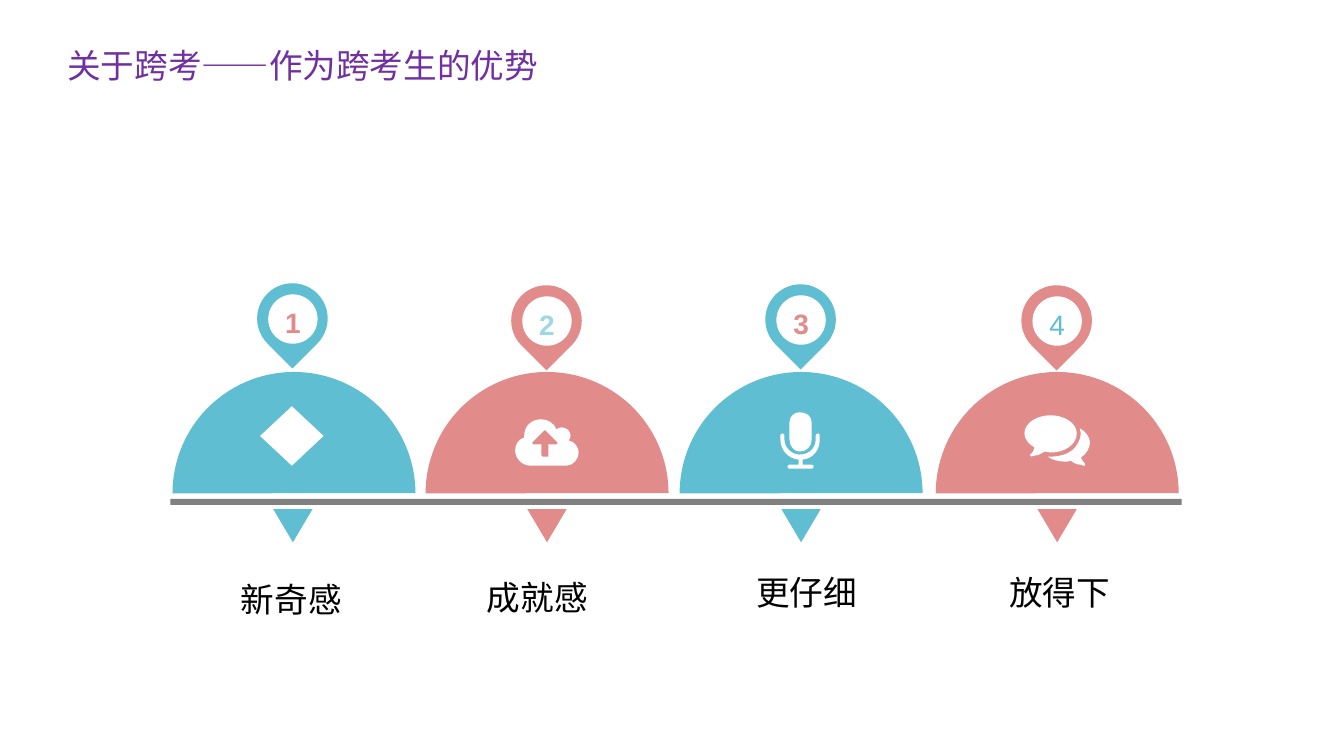
from dataclasses import dataclass

from lxml import etree
from pptx import Presentation
from pptx.dml.color import RGBColor
from pptx.enum.shapes import MSO_SHAPE
from pptx.enum.text import MSO_ANCHOR, PP_ALIGN
from pptx.oxml.ns import qn
from pptx.util import Emu, Pt

PX = 9144  # one px is a hundredth of an inch
CENTER, MIDDLE = PP_ALIGN.CENTER, MSO_ANCHOR.MIDDLE
CHORD, TEARDROP, ELLIPSE = MSO_SHAPE.CHORD, MSO_SHAPE.TEAR, MSO_SHAPE.OVAL
TRIANGLE, RECTANGLE, DIAMOND = (
    MSO_SHAPE.ISOSCELES_TRIANGLE, MSO_SHAPE.RECTANGLE, MSO_SHAPE.DIAMOND)

BLUE, ROSE, PALE_BLUE = "5FBED1", "E18B8B", "9FD8E3"
WHITE, BLACK, GRAY, PURPLE = "FFFFFF", "000000", "808080", "7030A0"
LATIN_FONT, CHINESE_FONT = "Arial", "Noto Sans CJK SC"

# Each contour is a start point, then lines (x, y) and cubic curves (6 numbers).
CLOUD_UPLOAD = [
    [(562, 462), (526, 462), (518, 462, 511, 455, 511, 447),
     (511, 441, 514, 436, 520, 434), (520, 432),
     (520, 423, 527, 416, 537, 416), (543, 416, 550, 420, 552, 426),
     (553, 425, 556, 424, 557, 424), (562, 424, 566, 428, 566, 432),
     (566, 434, 565, 436, 564, 437), (570, 438, 574, 444, 574, 449),
     (574, 456, 568, 462, 562, 462)],
    [(553, 439), (541, 427), (540, 427), (528, 439),
     (528, 440, 528, 441, 529, 441), (537, 441), (537, 452),
     (537, 453, 537, 453, 538, 453), (544, 453), (544, 452), (544, 441),
     (552, 441), (553, 441, 553, 440, 553, 439)],
]
MICROPHONE = [
    [(813, 436), (813, 447, 806, 455, 796, 456), (796, 461), (805, 461),
     (806, 461, 807, 462, 807, 463), (807, 464, 806, 465, 805, 465),
     (783, 465), (782, 465, 781, 464, 781, 463),
     (781, 462, 782, 461, 783, 461), (792, 461), (792, 456),
     (782, 455, 774, 447, 774, 436), (774, 432),
     (774, 431, 775, 430, 776, 430), (777, 430, 778, 431, 778, 432),
     (778, 436), (778, 445, 786, 451, 793, 451),
     (802, 451, 809, 445, 809, 436), (809, 432),
     (809, 431, 810, 430, 812, 430), (812, 430, 813, 431, 813, 432)],
    [(805, 436), (805, 443, 800, 448, 793, 448),
     (788, 448, 783, 443, 783, 436), (783, 419),
     (783, 413, 788, 409, 793, 409), (800, 409, 805, 413, 805, 419)],
]
SPEECH_BUBBLES = [
    [(1042, 449), (1040, 449, 1038, 448, 1036, 448),
     (1033, 450, 1030, 452, 1026, 452), (1025, 452, 1024, 453, 1023, 453),
     (1022, 453, 1022, 452, 1022, 452), (1021, 452, 1022, 451, 1022, 451),
     (1024, 449, 1025, 448, 1026, 444), (1021, 441, 1016, 436, 1016, 430),
     (1016, 420, 1028, 412, 1042, 412), (1056, 412, 1068, 420, 1068, 430),
     (1068, 441, 1056, 449, 1042, 449)],
    [(1072, 454), (1073, 457, 1075, 458, 1076, 460), (1076, 462),
     (1075, 462, 1073, 462, 1072, 461), (1068, 461, 1066, 460, 1062, 457),
     (1060, 458, 1059, 458, 1056, 458), (1050, 458, 1043, 456, 1039, 453),
     (1040, 453, 1042, 453, 1042, 453), (1050, 453, 1058, 451, 1063, 447),
     (1068, 443, 1072, 436, 1072, 430), (1072, 428, 1072, 427, 1071, 425),
     (1077, 428, 1081, 434, 1081, 439), (1081, 445, 1077, 451, 1072, 454)],
]


@dataclass
class Advantage:
    label: str
    label_at: tuple
    dome_left: int
    pin_at: tuple
    color: str
    number_color: str
    bold: bool = True


ADVANTAGES = [
    Advantage("新奇感", (239, 566), 171, (255, 281), BLUE, ROSE),
    Advantage("成就感", (483, 564), 422, (507, 283), ROSE, PALE_BLUE),
    Advantage("更仔细", (750, 559), 674, (759, 282), BLUE, ROSE),
    Advantage("放得下", (1001, 559), 928, (1013, 283), ROSE, BLUE, bold=False),
]


def px(length):
    return Emu(length * PX)


def rgb(color):
    return RGBColor.from_string(color)


def paint(shape, color):
    shape.shadow.inherit = False
    shape.fill.solid()
    shape.fill.fore_color.rgb = rgb(color)
    shape.line.fill.background()


def add_shape(shapes, kind, left, top, width, height, color, rotation=0):
    shape = shapes.add_shape(kind, px(left), px(top), px(width), px(height))
    shape.rotation = rotation
    paint(shape, color)
    return shape


def write(shape, text, *, size=24, color=BLACK, font=LATIN_FONT, bold=False,
          align=PP_ALIGN.LEFT, anchor=MSO_ANCHOR.TOP, spacing=1.2, inset=(0, 0)):
    frame = shape.text_frame
    frame.word_wrap = True
    frame.vertical_anchor = anchor
    frame.margin_left = frame.margin_right = px(inset[0])
    frame.margin_top = frame.margin_bottom = px(inset[1])
    paragraph = frame.paragraphs[0]
    paragraph.alignment = align
    paragraph.line_spacing = spacing
    run = paragraph.add_run()
    run.text = text
    run.font.size = Pt(size)
    run.font.bold = bold
    run.font.color.rgb = rgb(color)
    run.font.name = font
    east_asian = etree.SubElement(run.font._element, qn("a:ea"))
    east_asian.set("typeface", CHINESE_FONT)


def add_text(shapes, text, left, top, width, height, **text_format):
    box = shapes.add_textbox(px(left), px(top), px(width), px(height))
    write(box, text, **text_format)


def bend(line, segment, shape):
    """Turn a straight path step into the cubic curve given by the segment."""
    curve = etree.Element(qn("a:cubicBezTo"))
    for x, y in zip(segment[::2], segment[1::2]):
        point = etree.SubElement(curve, qn("a:pt"))
        point.set("x", str(px(x) - shape.left))
        point.set("y", str(px(y) - shape.top))
    line.getparent().replace(line, curve)


def add_icon(shapes, contours):
    builder = shapes.build_freeform(*contours[0][0], scale=PX)
    for index, (start, *segments) in enumerate(contours):
        if index:
            builder.move_to(*start)
        builder.add_line_segments([s[-2:] for s in segments], close=True)
    shape = builder.convert_to_shape()
    paint(shape, WHITE)

    outline = next(shape._element.iter(qn("a:path")))
    for name, size in (("w", shape.width), ("h", shape.height)):
        outline.set(name, str(size))
    for point in outline.iter(qn("a:pt")):
        for axis in ("x", "y"):
            point.set(axis, str(px(int(point.get(axis)))))
    segments = [s for contour in contours for s in contour[1:]]
    for line, segment in zip(outline.findall(qn("a:lnTo")), segments):
        if len(segment) == 6:
            bend(line, segment, shape)


def add_pin(shapes, number, advantage):
    left, top = advantage.pin_at
    group = shapes.add_group_shape().shapes
    add_shape(group, TEARDROP, left, top, 70, 70, advantage.color, rotation=135)
    disc = add_shape(group, ELLIPSE, left + 11, top + 11, 49, 49, WHITE)
    write(disc, str(number), size=20, color=advantage.number_color,
          bold=advantage.bold, align=CENTER, anchor=MIDDLE)


def add_advantage(shapes, number, advantage):
    dome = add_shape(shapes, CHORD, advantage.dome_left, 369, 241, 241,
                     advantage.color, rotation=112.4)
    dome.adjustments[0], dome.adjustments[1] = 40.58, 148.46
    add_shape(shapes, TRIANGLE, advantage.pin_at[0] + 16, 505, 39, 33,
              advantage.color, rotation=180)
    add_text(shapes, advantage.label, *advantage.label_at, 218, 44)
    add_pin(shapes, number, advantage)


def main():
    presentation = Presentation()
    presentation.slide_width, presentation.slide_height = px(1333), px(750)
    slide = presentation.slides.add_slide(presentation.slide_layouts[6])
    shapes = slide.shapes

    add_text(shapes, "关于跨考——作为跨考生的优势", 57, 40, 516, 50,
             color=PURPLE, font=CHINESE_FONT, spacing=1.0, inset=(10, 5))
    add_shape(shapes, RECTANGLE, 169, 495, 1003, 6, GRAY)
    for number, advantage in enumerate(ADVANTAGES, start=1):
        add_advantage(shapes, number, advantage)

    add_shape(shapes, DIAMOND, 258, 403, 63, 59, WHITE)
    for contours in (CLOUD_UPLOAD, MICROPHONE, SPEECH_BUBBLES):
        add_icon(shapes, contours)
    presentation.save("out.pptx")


if __name__ == "__main__":
    main()
